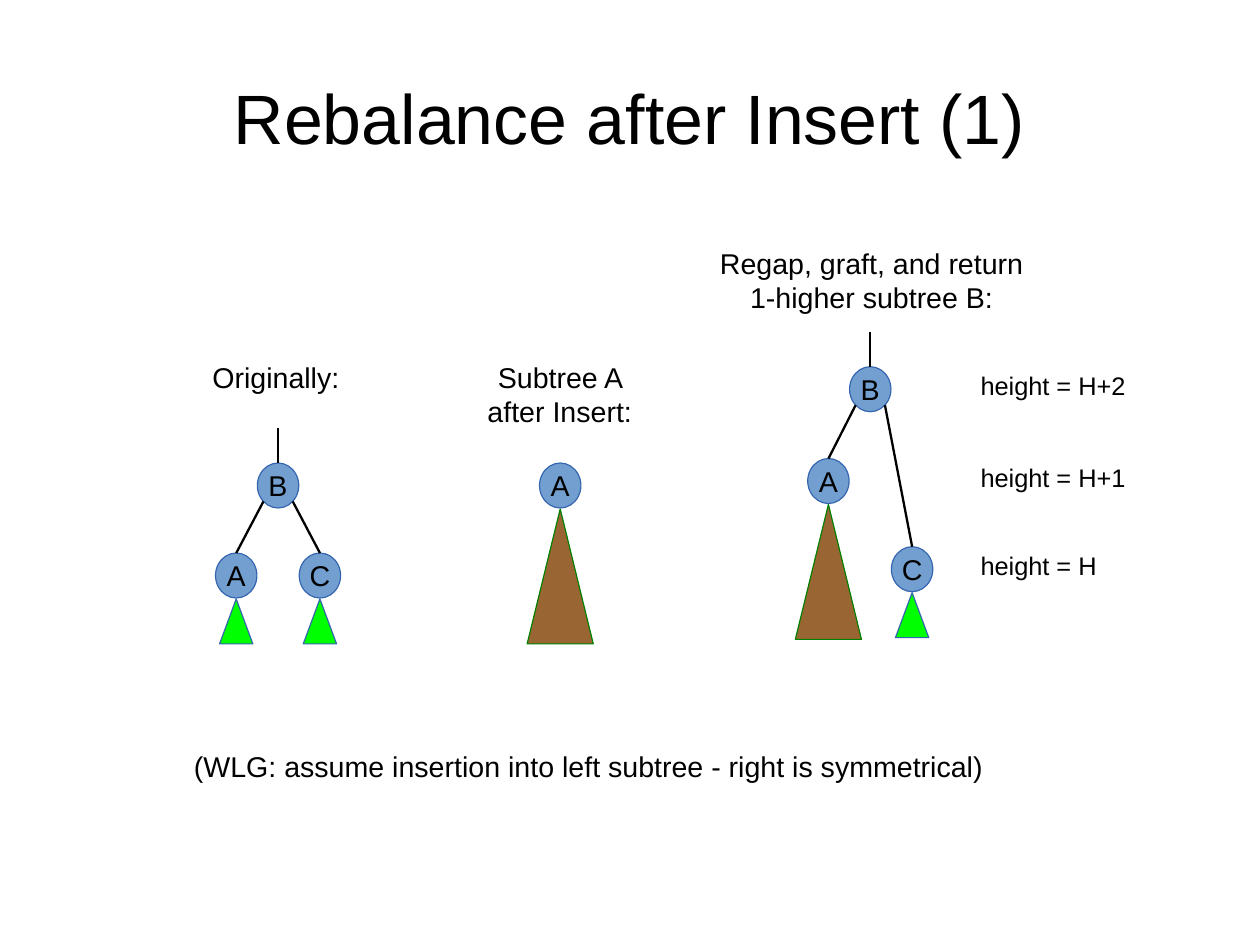
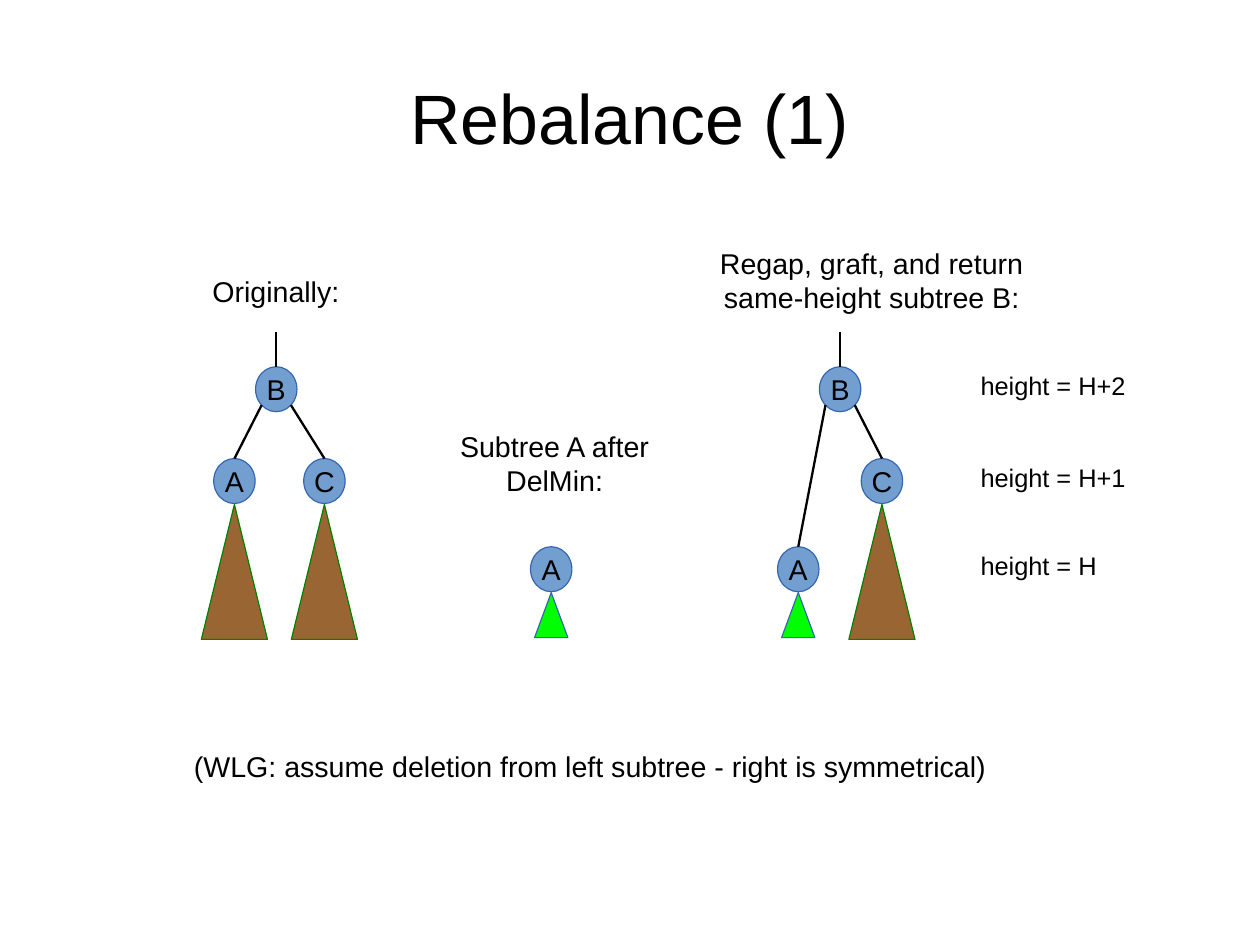
from dataclasses import dataclass
from math import sqrt

from lxml import etree
from pptx import Presentation
from pptx.dml.color import RGBColor
from pptx.enum import shapes, text
from pptx.oxml.ns import qn
from pptx.util import Cm, Pt


@dataclass(frozen=True)
class Theme:
    font: str = "Arial"
    ink: str = "000000"
    node_fill: str = "729FCF"
    node_line: str = "3465AF"
    tall_fill: str = "996633"
    tall_line: str = "008000"
    short_fill: str = "00FF00"
    title_size: int = 44
    text_size: int = 18
    label_size: int = 16
    edge_width: float = 1.45


NODE_WIDTH, NODE_HEIGHT = 0.92, 1.0
STEM_LENGTH = 0.78
TOP, MIDDLE, BOTTOM = 8.15, 10.19, 12.15  # node tops at heights H+2, H+1, H


class Deck:
    """Theme plus the slide that is being filled."""

    def __init__(self, theme):
        self.theme = theme
        self.presentation = Presentation()
        self.presentation.slide_width = Cm(28)
        self.presentation.slide_height = Cm(21)
        self.slide = None

    def add_lines(self, frame, lines, size, align):
        for index, line in enumerate(lines):
            paragraph = frame.paragraphs[0] if index == 0 else frame.add_paragraph()
            paragraph.alignment = align
            run = paragraph.add_run()
            run.text = line
            run.font.name = self.theme.font
            run.font.size = Pt(size)
            run.font.color.rgb = RGBColor.from_string(self.theme.ink)

    def new_slide(self, title):
        layout = self.presentation.slide_layouts[5]
        self.slide = self.presentation.slides.add_slide(layout)
        shape = self.slide.shapes.title
        shape.left, shape.top = Cm(1.4), Cm(0.84)
        shape.width, shape.height = Cm(25.2), Cm(3.51)
        frame = shape.text_frame
        frame.margin_left = frame.margin_right = 0
        frame.margin_top = frame.margin_bottom = 0
        frame.vertical_anchor = text.MSO_ANCHOR.MIDDLE
        frame.auto_size = text.MSO_AUTO_SIZE.NONE
        self.add_lines(frame, [title], self.theme.title_size, text.PP_ALIGN.CENTER)

    def text_box(self, lines, left, top, width, height=0.97, size=None,
                 align=text.PP_ALIGN.LEFT):
        shape = self.slide.shapes.add_textbox(Cm(left), Cm(top), Cm(width), Cm(height))
        shape.text_frame.word_wrap = True
        self.add_lines(shape.text_frame, lines, size or self.theme.text_size, align)

    def heading(self, lines, left, top, width):
        self.text_box(lines, left, top, width, 1.68, align=text.PP_ALIGN.CENTER)

    def height_labels(self):
        for label, top in (("height = H+2", TOP), ("height = H+1", MIDDLE),
                           ("height = H", BOTTOM)):
            self.text_box([label], 21.54, top - 0.05, 5.49, 1.4, self.theme.label_size)

    def outline(self, kind, center, top, width, height, fill, line):
        """Add a hairline preset shape centred on a vertical axis."""
        shape = self.slide.shapes.add_shape(
            kind, Cm(center - width / 2), Cm(top), Cm(width), Cm(height))
        shape.shadow.inherit = False
        shape.fill.solid()
        shape.fill.fore_color.rgb = RGBColor.from_string(fill)
        shape.line.color.rgb = RGBColor.from_string(line)
        shape.line.width = Pt(0)
        return shape

    def subtree(self, center, top, tall):
        theme = self.theme
        if tall:
            look = (1.47, 3.0, theme.tall_fill, theme.tall_line)
        else:
            look = (0.74, 1.0, theme.short_fill, theme.node_line)
        self.outline(shapes.MSO_SHAPE.ISOSCELES_TRIANGLE, center, top, *look)

    def node(self, label, center, top):
        shape = self.outline(shapes.MSO_SHAPE.OVAL, center, top, NODE_WIDTH, NODE_HEIGHT,
                             self.theme.node_fill, self.theme.node_line)
        frame = shape.text_frame
        frame.word_wrap = False
        frame.vertical_anchor = text.MSO_ANCHOR.MIDDLE
        self.add_lines(frame, [label], self.theme.text_size, text.PP_ALIGN.CENTER)
        return shape

    def branch(self, label, center, top, tall):
        """Add a node with its triangular subtree below."""
        self.subtree(center, top + NODE_HEIGHT + 0.02, tall)
        return self.node(label, center, top)

    def edge(self, x, y, child):
        """Draw a line from a point to the top of a node."""
        connector = self.slide.shapes.add_connector(
            shapes.MSO_CONNECTOR.STRAIGHT, Cm(x), Cm(y), child.left, child.top)
        connector.end_connect(child, 0)
        connector.line.color.rgb = RGBColor.from_string(self.theme.ink)
        connector.line.width = Pt(self.theme.edge_width)
        etree.SubElement(connector.element.spPr, qn("a:effectLst"))

    def tree(self, center, top, left, right):
        """Add root B with branches A and C, each given as (center, top, tall)."""
        root = self.node("B", center, top)
        self.edge(center, top - STEM_LENGTH, root)
        diagonal = sqrt(0.5) / 2
        y = top + NODE_HEIGHT * (0.5 + diagonal)
        for label, side, place in (("A", -1, left), ("C", 1, right)):
            child = self.branch(label, *place)
            self.edge(center + side * NODE_WIDTH * diagonal, y, child)

    def rebalance_slide(self, title, result, note):
        """Start a slide with the texts that both cases share."""
        self.new_slide(title)
        self.height_labels()
        self.heading(["Regap, graft, and return", result], 15.5, 5.33, 7.74)
        self.text_box([note], 4.06, 16.51, 19)


def insert_slide(deck):
    deck.rebalance_slide("Rebalance after Insert (1)", "1-higher subtree B:",
                         "(WLG: assume insertion into left subtree - right is symmetrical)")
    deck.text_box(["Originally:"], 4.47, 7.87, 3.6)
    deck.tree(6.18, 10.29, (5.25, 12.29, False), (7.11, 12.29, False))
    deck.heading(["Subtree A after Insert:"], 10.41, 7.87, 4.06)
    deck.branch("A", 12.45, 10.29, True)
    deck.tree(19.34, TOP, (18.41, MIDDLE, True), (20.27, BOTTOM, False))


def delete_slide(deck):
    deck.rebalance_slide("Rebalance (1)", "same-height subtree B:",
                         "(WLG: assume deletion from left subtree - right is symmetrical)")
    deck.text_box(["Originally:"], 4.47, 5.97, 3.6)
    deck.tree(6.14, TOP, (5.21, MIDDLE, True), (7.21, MIDDLE, True))
    deck.heading(["Subtree A after DelMin:"], 9.91, 9.4, 4.83)
    deck.branch("A", 12.25, BOTTOM, False)
    deck.tree(18.67, TOP, (17.74, BOTTOM, False), (19.6, MIDDLE, True))


def main():
    deck = Deck(Theme())
    insert_slide(deck)
    delete_slide(deck)
    deck.presentation.save("out.pptx")


if __name__ == "__main__":
    main()
